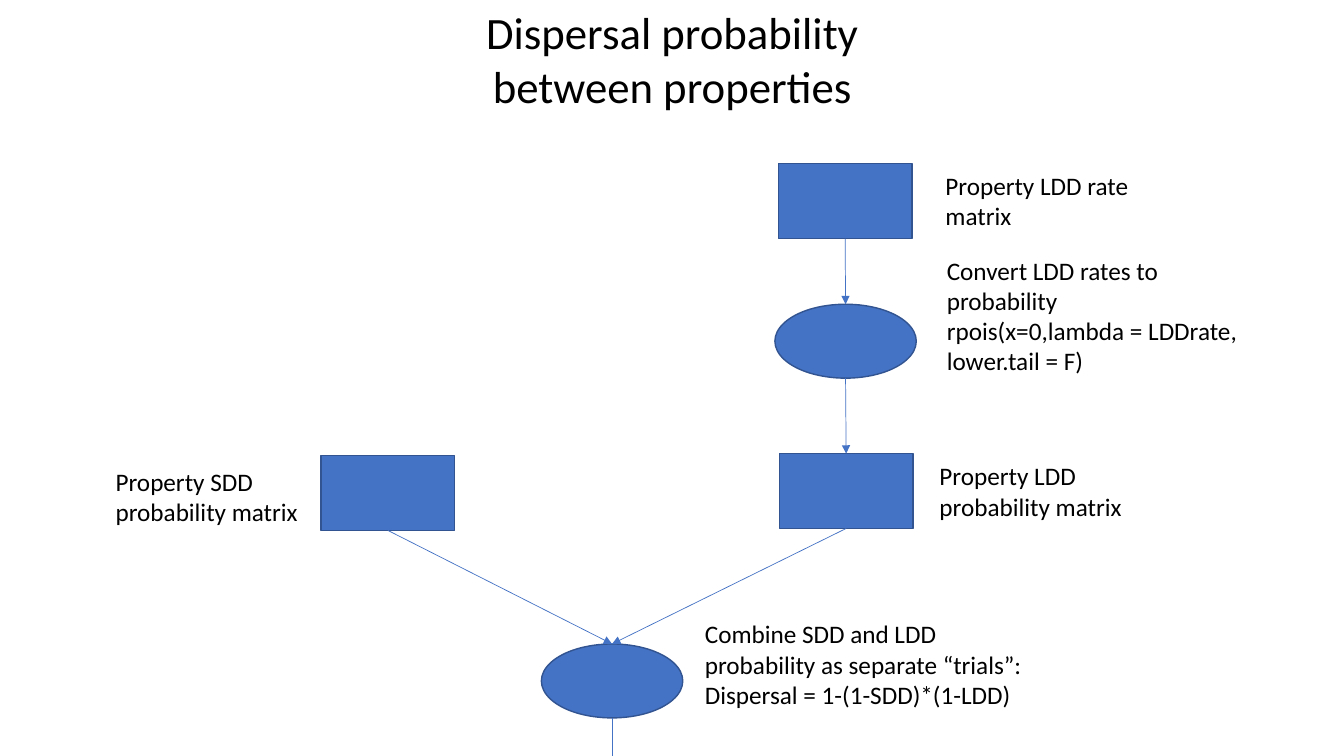
from dataclasses import dataclass
from lxml import etree
from pptx import Presentation
from pptx.dml.color import RGBColor
from pptx.enum.shapes import MSO_CONNECTOR as Link, MSO_SHAPE as Preset
from pptx.enum.text import PP_ALIGN as Align
from pptx.oxml.ns import qn
from pptx.util import Pt


@dataclass
class Theme:
    fill: RGBColor = RGBColor.from_string("4472C4")
    outline: RGBColor = RGBColor.from_string("325491")
    text: RGBColor = RGBColor.from_string("000000")
    font: str = "Calibri"
    title_size: int = 32
    label_size: int = 18


theme = Theme()
slide_width, slide_height = 960, 540
deck = Presentation()
deck.slide_width, deck.slide_height = Pt(slide_width), Pt(slide_height)
page = deck.slides.add_slide(deck.slide_layouts[6])


def add_text(left, top, width, height, lines, size, align):
    box = page.shapes.add_textbox(Pt(left), Pt(top), Pt(width), Pt(height))
    frame = box.text_frame
    frame.word_wrap = True
    for index, line in enumerate(lines):
        para = frame.paragraphs[0] if index == 0 else frame.add_paragraph()
        para.alignment = align
        span = para.add_run()
        span.text = line
        span.font.name = theme.font
        span.font.size = Pt(size)
        span.font.color.rgb = theme.text


def add_line(start, end, arrow):
    line = page.shapes.add_connector(Link.STRAIGHT, *(Pt(value) for value in start + end))
    line.line.color.rgb = theme.fill
    line.line.width = Pt(0.5)
    properties = line._element.spPr
    if arrow:
        etree.SubElement(properties.find(qn("a:ln")), qn("a:tailEnd"), type="triangle")
    etree.SubElement(properties, qn("a:effectLst"))
    return line


add_text(328.5, 0, 303.5, 84.7, ["Dispersal probability between properties"],
         theme.title_size, Align.CENTER)

sizes = {Preset.RECTANGLE: (95.4, 53.5), Preset.OVAL: (101, 52.8)}
nodes = {
    "sdd_probability": (Preset.RECTANGLE, 229.4, 325.4),
    "ldd_rate": (Preset.RECTANGLE, 556, 116.9),
    "combine": (Preset.OVAL, 386.7, 460),
    "convert": (Preset.OVAL, 553.5, 217.3),
    "ldd_probability": (Preset.RECTANGLE, 556.7, 324),
}
shapes = {}
for name, (preset, left, top) in nodes.items():
    width, height = sizes[preset]
    shape = page.shapes.add_shape(preset, Pt(left), Pt(top), Pt(width), Pt(height))
    shape.shadow.inherit = False
    shape.fill.solid()
    shape.fill.fore_color.rgb = theme.fill
    shape.line.color.rgb = theme.outline
    shape.line.width = Pt(1)
    shapes[name] = shape

labels = [
    (75.5, 329.3, 185.8, 50.9, ["Property SDD probability matrix"]),
    (668.2, 118.3, 185.8, 50.9, ["Property LDD rate matrix"]),
    (496.4, 438.3, 252.7, 72.7, ["Combine SDD and LDD probability as separate “trials”:",
                               "Dispersal = 1-(1-SDD)*(1-LDD)"]),
    (669.2, 178.5, 226.8, 94.5, ["Convert LDD rates to probability",
                                 "rpois(x=0,lambda = LDDrate, lower.tail = F)"]),
    (664, 325.6, 185.8, 50.9, ["Property LDD probability matrix"]),
]
for *area, lines in labels:
    add_text(*area, lines, theme.label_size, Align.LEFT)

flows = [
    ("ldd_rate", "convert"),
    ("convert", "ldd_probability"),
    ("ldd_probability", "combine"),
    ("sdd_probability", "combine"),
]
for source, target in flows:
    preset, left, top = nodes[source]
    width, height = sizes[preset]
    target_preset, target_left, target_top = nodes[target]
    start = (left + width / 2, top + height)
    end = (target_left + sizes[target_preset][0] / 2, target_top)
    arrow = add_line(start, end, True)
    if preset == Preset.RECTANGLE:
        arrow.begin_connect(shapes[source], 2)
    arrow.end_connect(shapes[target], 0)

preset, left, top = nodes["combine"]
width, height = sizes[preset]
center = left + width / 2
add_line((center, top + height), (center, slide_height), False)

deck.save("out.pptx")
